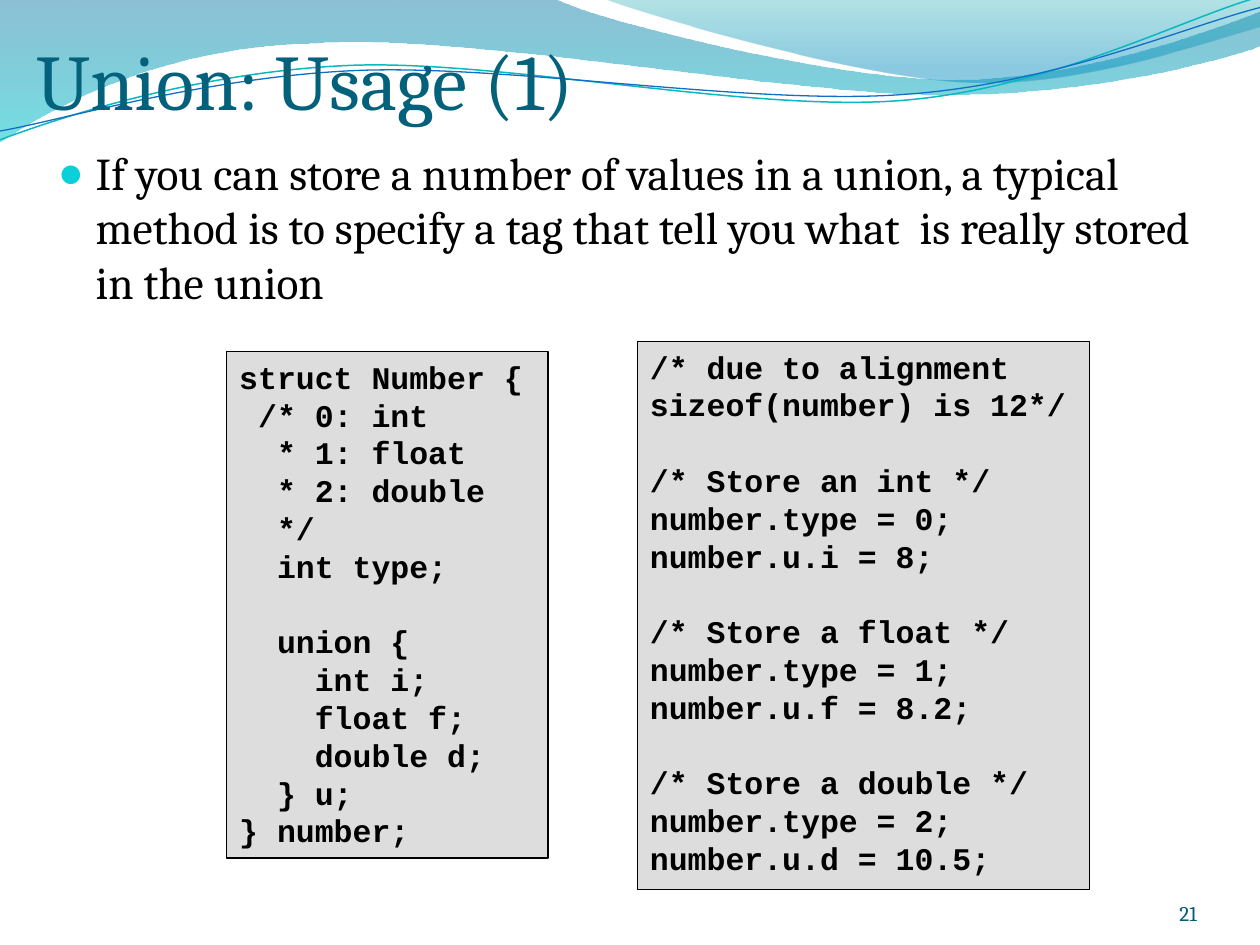
from lxml.etree import SubElement
from pptx import Presentation
from pptx.dml.color import RGBColor
from pptx.enum.shapes import MSO_SHAPE
from pptx.enum.text import MSO_ANCHOR, MSO_AUTO_SIZE, PP_ALIGN
from pptx.oxml.ns import qn
from pptx.util import Inches, Pt

BLACK = RGBColor(0, 0, 0)
TITLE_BLUE = RGBColor(0x04, 0x61, 0x7B)
NUMBER_BLUE = RGBColor(0x04, 0x5D, 0x75)
BULLET_CYAN = RGBColor(0x0B, 0xD0, 0xD9)
CODE_GRAY = RGBColor(0xDD, 0xDD, 0xDD)
DEEP_BLUE = RGBColor(0x00, 0x74, 0xA1)
AQUA = RGBColor(0x00, 0xC6, 0xCF)
TEAL = RGBColor(0x00, 0xA1, 0xA9)
SKY = RGBColor(0x00, 0x8B, 0xBF)
LINE_TEAL = RGBColor(0x0A, 0xB8, 0xBF)
LINE_BLUE = RGBColor(0x0F, 0x6F, 0xC6)

# Content
TITLE = "Union: Usage (1)"
BODY = ("If you can store a number of values in a union, a typical method is to "
        "specify a tag that tell you what  is really stored in the union")
PAGE_NUMBER = "21"
STRUCT_CODE = """struct Number {
 /* 0: int
  * 1: float
  * 2: double
  */
  int type;

  union {
    int i;
    float f;
    double d;
  } u;
} number;"""
USAGE_CODE = """/* due to alignment
sizeof(number) is 12*/

/* Store an int */
number.type = 0;
number.u.i = 8;

/* Store a float */
number.type = 1;
number.u.f = 8.2;

/* Store a double */
number.type = 2;
number.u.d = 10.5;"""
CODE_BOXES = [(STRUCT_CODE, (1.8, 2.79, 2.55, 4.02)),
              (USAGE_CODE, (5.06, 2.71, 3.59, 4.35))]
CODE_LINE = 21.6

# Waves: a start point, then segments of one (line) or three (curve) points.
# Stops are colour, position and opacity in percent.
WAVES = [
    ((0, 0), [[(4.4, -0.01)],
              [(4.76, 0.17), (6.64, 0.63), (7.58, 0.63)],
              [(8.53, 0.63), (9.58, 0.26), (10, 0.09)],
              [(10.01, 0.36)],
              [(9.83, 0.44), (8.7, 0.76), (7.46, 0.75)],
              [(6.22, 0.75), (3.82, 0.28), (2.57, 0.34)],
              [(1.29, 0.36), (0.46, 0.83), (-0.01, 1.13)],
              [(0, 0)]],
     [(DEEP_BLUE, 0, 45), (AQUA, 1, 55)]),
    ((4.79, -0.01), [[(5.09, 0.11), (6.82, 0.62), (7.69, 0.65)],
                     [(8.56, 0.69), (9.61, 0.32), (10, 0.21)],
                     [(10, 0)],
                     [(4.79, -0.01)]],
     [(TEAL, 0, 30), (SKY, 0.8, 45)]),
]
WAVE_LINES = [
    ((0, 1.11), [[(0.48, 0.93), (1.58, 0.57), (2.77, 0.52)],
                 [(3.95, 0.47), (5.93, 0.89), (7.13, 0.8)],
                 [(8.33, 0.71), (9.38, 0.15), (9.98, -0.02)]], LINE_TEAL, 0.85),
    ((0, 1.04), [[(0.47, 0.96), (1.64, 0.61), (2.83, 0.56)],
                 [(4.03, 0.51), (5.97, 0.84), (7.17, 0.75)],
                 [(8.36, 0.67), (9.41, 0.21), (10, 0.06)]], LINE_BLUE, 0.75),
]

deck = Presentation()
deck.slide_width, deck.slide_height = Inches(10), Inches(7.5)
page = deck.slides.add_slide(deck.slide_layouts[1])


def add_wave(start, segments, closed):
    """Draw the outline through its end points, then bend the curved segments."""
    ends = [(Inches(x), Inches(y)) for x, y in (segment[-1] for segment in segments)]
    builder = page.shapes.build_freeform(*map(Inches, start))
    builder.add_line_segments(ends, close=closed)
    wave = builder.convert_to_shape()
    wave.shadow.inherit = False
    lines = list(wave.element.iter(qn("a:lnTo")))
    for line, segment in zip(lines, segments):
        if len(segment) == 3:
            curve = line.makeelement(qn("a:cubicBezTo"), {})
            for x, y in segment:
                SubElement(curve, qn("a:pt"), x=str(Inches(x) - wave.left),
                           y=str(Inches(y) - wave.top))
            line.getparent().replace(line, curve)
    return wave


def place(shape, left, top, width, height):
    shape.left, shape.top = Inches(left), Inches(top)
    shape.width, shape.height = Inches(width), Inches(height)


def write(shape, text, font="Cambria", size=18, color=BLACK, bold=False,
          align=PP_ALIGN.LEFT, anchor=MSO_ANCHOR.TOP, insets=(0.1, 0.05, 0.1, 0.05),
          blank_gap=0):
    """Write lines of text; an empty line becomes space before the next one."""
    frame = shape.text_frame
    frame.word_wrap, frame.auto_size = True, MSO_AUTO_SIZE.NONE
    frame.vertical_anchor = anchor
    (frame.margin_left, frame.margin_top,
     frame.margin_right, frame.margin_bottom) = map(Inches, insets)
    para, gap = frame.paragraphs[0], 0
    for line in text.split("\n"):
        if not line:
            gap = blank_gap
            continue
        if para.runs:
            para = frame.add_paragraph()
        para.alignment, para.space_before = align, Pt(gap)
        span = para.add_run()
        span.text = line
        span.font.name, span.font.size = font, Pt(size)
        span.font.bold, span.font.color.rgb = bold, color
        gap = 0
    return frame


# Wave decoration
for start, segments, stops in WAVES:
    wave = add_wave(start, segments, True)
    wave.line.fill.background()
    wave.fill.gradient()
    wave.fill.gradient_angle = 270
    for stop, (color, position, _) in zip(wave.fill.gradient_stops, stops):
        stop.color.rgb, stop.position = color, position
    for node, (_, _, opacity) in zip(wave.element.spPr.iter(qn("a:srgbClr")), stops):
        SubElement(node, qn("a:alpha"), val=str(opacity * 1000))
for start, segments, color, width in WAVE_LINES:
    wave = add_wave(start, segments, False)
    wave.fill.background()
    wave.line.color.rgb, wave.line.width = color, Pt(width)

# Title and bullet, brought in front of the waves
title, body = page.shapes.title, page.placeholders[1]
for holder in (title, body):
    page.shapes.element.append(holder.element)
place(title, 0.29, 0.24, 9.47, 0.76)
write(title, TITLE, size=45, color=TITLE_BLUE, anchor=MSO_ANCHOR.BOTTOM,
      insets=(0, 0.05, 0, 0))
place(body, 0.36, 1.1, 9.36, 1.57)
para = write(body, BODY, size=26).paragraphs[0]
para.space_before = Pt(5.2)
bullet = para._p.get_or_add_pPr()
bullet.set("marL", str(Inches(0.3)))
bullet.set("indent", str(Inches(-0.3)))
SubElement(SubElement(bullet, qn("a:buClr")), qn("a:srgbClr"), val=str(BULLET_CYAN))
SubElement(bullet, qn("a:buSzPct"), val="95000")
SubElement(bullet, qn("a:buChar"), char="●")

# Page number
number = page.shapes.add_textbox(Inches(8.67), Inches(6.95), Inches(0.83), Inches(0.4))
write(number, PAGE_NUMBER, size=12, color=NUMBER_BLUE, align=PP_ALIGN.RIGHT,
      anchor=MSO_ANCHOR.BOTTOM, insets=(0, 0, 0, 0))

# Code boxes
for code, area in CODE_BOXES:
    box = page.shapes.add_shape(MSO_SHAPE.RECTANGLE, *map(Inches, area))
    box.shadow.inherit = False
    box.fill.solid()
    box.fill.fore_color.rgb = CODE_GRAY
    box.line.color.rgb, box.line.width = BLACK, Pt(0.75)
    write(box, code, font="Courier New", bold=True, blank_gap=CODE_LINE)

deck.save("out.pptx")
